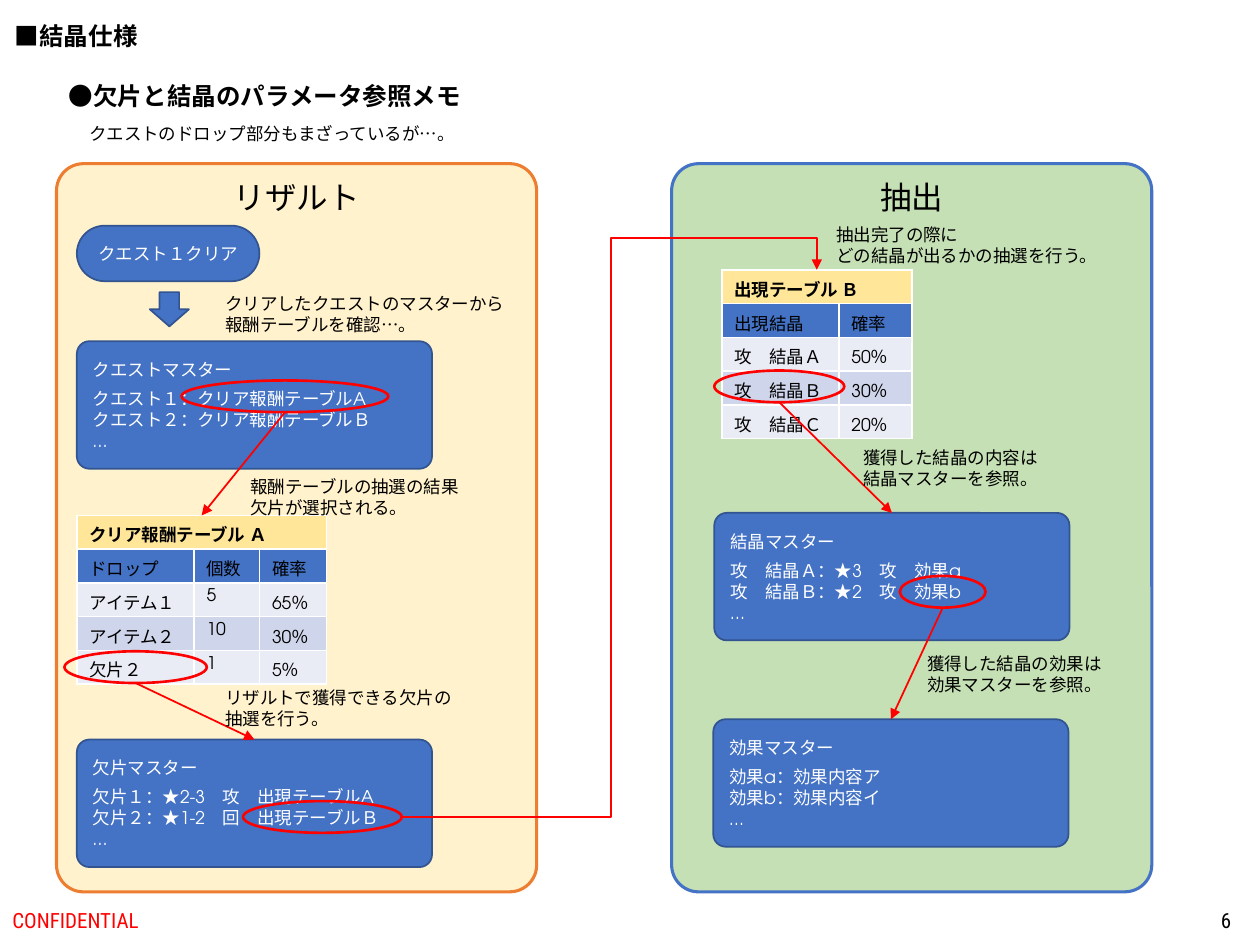
import pptx
import pptx.util
import pptx.dml.color
import pptx.enum.shapes
import pptx.enum.text
import pptx.oxml.ns
import lxml.etree
from dataclasses import dataclass

Cm = pptx.util.Cm
Pt = pptx.util.Pt
SHAPES = pptx.enum.shapes.MSO_SHAPE
CONNECTORS = pptx.enum.shapes.MSO_CONNECTOR
ALIGN = pptx.enum.text.PP_ALIGN
ANCHOR = pptx.enum.text.MSO_ANCHOR
qn = pptx.oxml.ns.qn


@dataclass(frozen=True)
class Theme:
    black: str = "000000"
    white: str = "FFFFFF"
    red: str = "FF0000"
    blue: str = "4472C4"
    blue_edge: str = "325491"
    orange: str = "ED7D31"
    cream: str = "FFF2CC"
    green: str = "C5E0B4"
    gold: str = "FFE699"
    bands: tuple = ("E9EBF5", "CFD5EA")
    font: str = "TeX Gyre Adventor"
    title_font: str = "Arial"
    footer_font: str = "Roboto Condensed"
    body: int = 10
    footer: int = 12
    heading: int = 14
    panel: int = 18


theme = Theme()

PANELS = [
    ("抽出", 13.54, theme.green, theme.blue),
    ("リザルト", 1.14, theme.cream, theme.orange),
]
PANEL_TOP, PANEL_WIDTH, PANEL_HEIGHT = 3.3, 9.68, 14.68

HEADINGS = [
    (["■結晶仕様"], (0.05, 0.3, 3, 0.86), theme.title_font, theme.heading, True),
    (["●欠片と結晶のパラメータ参照メモ"], (1.14, 1.5, 8.48, 0.86), theme.font, theme.heading, True),
    (["クエストのドロップ部分もまざっているが…。"], (1.55, 2.36, 8, 0.69), theme.font, theme.body, False),
]
FOOTERS = [
    ("CONFIDENTIAL", (0, 18.03, 8.59, 1.02), theme.red, ALIGN.LEFT),
    ("6", (19.35, 18.03, 5.72, 1.02), theme.black, ALIGN.RIGHT),
]
MASTERS = {
    "quest": (1.55, 6.88, ["クエストマスター", "クエスト１：クリア報酬テーブルA", "クエスト２：クリア報酬テーブルＢ", "…"]),
    "fragment": (1.55, 14.91, ["欠片マスター", "欠片１：★2-3　攻　出現テーブルA", "欠片２：★1-2　回　出現テーブルＢ", "…"]),
    "crystal": (14.4, 10.34, ["結晶マスター", "攻　結晶Ａ：★3　攻　効果a", "攻　結晶Ｂ：★2　攻　効果b", "…"]),
    "effect": (14.38, 14.5, ["効果マスター", "効果a：効果内容ア", "効果b：効果内容イ", "…"]),
}
MASTER_SIZE = (7.16, 2.57)
TABLES = {
    "appearance": (14.55, 5.44, [2.36, 1.47], "出現テーブル Ｂ", [
        ["出現結晶", "確率"],
        ["攻　結晶Ａ", "50％"],
        ["攻　結晶Ｂ", "30％"],
        ["攻　結晶Ｃ", "20％"],
    ]),
    "reward": (1.55, 10.39, [2.36, 1.32, 1.35], "クリア報酬テーブル Ａ", [
        ["ドロップ", "個数", "確率"],
        ["アイテム１", "5", "65％"],
        ["アイテム２", "10", "30％"],
        ["欠片２", "1", "5％"],
    ]),
}
ROW_HEIGHT = 0.68
NOTES = [
    (["クリアしたクエストのマスターから", "報酬テーブルを確認…。"], 4.29, 5.79, 6.22),
    (["報酬テーブルの抽選の結果", "欠片が選択される。"], 4.8, 9.47, 4.78),
    (["リザルトで獲得できる欠片の", "抽選を行う。"], 4.29, 13.72, 5.16),
    (["抽出完了の際に", "どの結晶が出るかの抽選を行う。"], 16.61, 4.39, 5.87),
    (["獲得した結晶の内容は", "結晶マスターを参照。"], 17.15, 8.89, 4.06),
    (["獲得した結晶の効果は", "効果マスターを参照。"], 18.44, 13.03, 4.06),
]
NOTE_HEIGHT = 1.12
MARKS = [
    (3.66, 7.67, 4.17, "reward"),
    (1.3, 13.13, 2.87, "fragment"),
    (14.4, 7.47, 2.62, "crystal"),
    (18.14, 11.61, 1.73, "effect"),
    (4.9, 16.15, 3.2, "appearance"),
]
MARK_HEIGHT = 0.64
ELBOW_ADJUST = {"adj1": 50400, "adj2": 105800}


def rgb(value):
    return pptx.dml.color.RGBColor.from_string(value)


def write(frame, lines, color, size=theme.body, font=theme.font, bold=False, align=ALIGN.LEFT):
    for index, line in enumerate(lines):
        para = frame.paragraphs[0] if index == 0 else frame.add_paragraph()
        para.text = line
        para.alignment = align
        para.font.name, para.font.size, para.font.bold = font, Pt(size), bold
        para.font.color.rgb = rgb(color)


def add_text(place, lines, color=theme.black, grow=True, **style):
    frame = page.shapes.add_textbox(*map(Cm, place)).text_frame
    frame.word_wrap = not grow
    if grow:
        frame.auto_size = pptx.enum.text.MSO_AUTO_SIZE.SHAPE_TO_FIT_TEXT
    else:
        frame.vertical_anchor = ANCHOR.MIDDLE
    write(frame, lines, color, **style)


def add_box(kind, place, fill=theme.blue, edge=theme.blue_edge, width=1, corner=None):
    box = page.shapes.add_shape(kind, *map(Cm, place))
    box.shadow.inherit = False
    if fill:
        box.fill.solid()
        box.fill.fore_color.rgb = rgb(fill)
    else:
        box.fill.background()
    box.line.color.rgb = rgb(edge)
    box.line.width = Pt(width)
    if corner is not None:
        box.adjustments[0] = corner
    return box


def add_table(left, top, widths, title, rows):
    count = len(rows) + 1
    frame = page.shapes.add_table(count, len(widths), Cm(left), Cm(top), Cm(sum(widths)), Cm(ROW_HEIGHT * count))
    table = frame.table
    for column, width in zip(table.columns, widths):
        column.width = Cm(width)
    table.cell(0, 0).merge(table.cell(0, len(widths) - 1))
    fills = [theme.gold, theme.blue] + [theme.bands[i % 2] for i in range(len(rows) - 1)]
    for r, texts in enumerate([[title]] + rows):
        for c, text in enumerate(texts):
            cell = table.cell(r, c)
            cell.fill.solid()
            cell.fill.fore_color.rgb = rgb(fills[r])
            write(cell.text_frame, [text], theme.black, bold=r == 0)
    return frame


def add_arrow(kind, start, end):
    arrow = page.shapes.add_connector(kind, *start, *end)
    arrow.line.color.rgb = rgb(theme.red)
    arrow.line.width = Pt(1)
    lxml.etree.SubElement(arrow.get_or_add_ln(), qn("a:tailEnd"), type="triangle")
    lxml.etree.SubElement(arrow.element.spPr, qn("a:effectLst"))
    return arrow


def bend(arrow, adjust):
    geometry = arrow.element.spPr.find(qn("a:prstGeom"))
    geometry.set("prst", "bentConnector4")
    guides = geometry.find(qn("a:avLst"))
    for name, value in adjust.items():
        lxml.etree.SubElement(guides, qn("a:gd"), name=name, fmla=f"val {value}")


deck = pptx.Presentation()
deck.slide_width, deck.slide_height = Cm(25.4), Cm(19.05)
page = deck.slides.add_slide(deck.slide_layouts[6])

for label, left, fill, edge in PANELS:
    panel = add_box(SHAPES.ROUNDED_RECTANGLE, (left, PANEL_TOP, PANEL_WIDTH, PANEL_HEIGHT), fill, edge, 1.75, 0.056)
    panel.text_frame.vertical_anchor = ANCHOR.TOP
    write(panel.text_frame, [label], theme.black, theme.panel, align=ALIGN.CENTER)

for lines, place, font, size, bold in HEADINGS:
    add_text(place, lines, font=font, size=size, bold=bold)
for label, place, color, align in FOOTERS:
    add_text(place, [label], color, grow=False, font=theme.footer_font, size=theme.footer, align=align)

targets = {}
for name, (left, top, lines) in MASTERS.items():
    master = add_box(SHAPES.ROUNDED_RECTANGLE, (left, top, *MASTER_SIZE), corner=0.098)
    write(master.text_frame, lines, theme.white)
    master.text_frame.paragraphs[0].space_after = Pt(4.5)
    targets[name] = master
for name, details in TABLES.items():
    targets[name] = add_table(*details)

clear = add_box(SHAPES.ROUNDED_RECTANGLE, (1.55, 4.55, 3.68, 1.12), corner=0.5)
write(clear.text_frame, ["クエスト１クリア"], theme.white, align=ALIGN.CENTER)
add_box(SHAPES.DOWN_ARROW, (3.02, 5.89, 0.79, 0.69))

for left, top, width, name in MARKS:
    mark = add_box(SHAPES.OVAL, (left, top, width, MARK_HEIGHT), None, theme.red, 1.5)
    target = targets[name]
    end = (target.left + target.width // 2, target.top)
    if name == "appearance":
        start = (mark.left + mark.width, mark.top + mark.height // 2)
        bend(add_arrow(CONNECTORS.ELBOW, start, end), ELBOW_ADJUST)
    else:
        start = (mark.left + mark.width // 2, mark.top + mark.height)
        add_arrow(CONNECTORS.STRAIGHT, start, end)

for lines, left, top, width in NOTES:
    add_text((left, top, width, NOTE_HEIGHT), lines)

deck.save("out.pptx")
